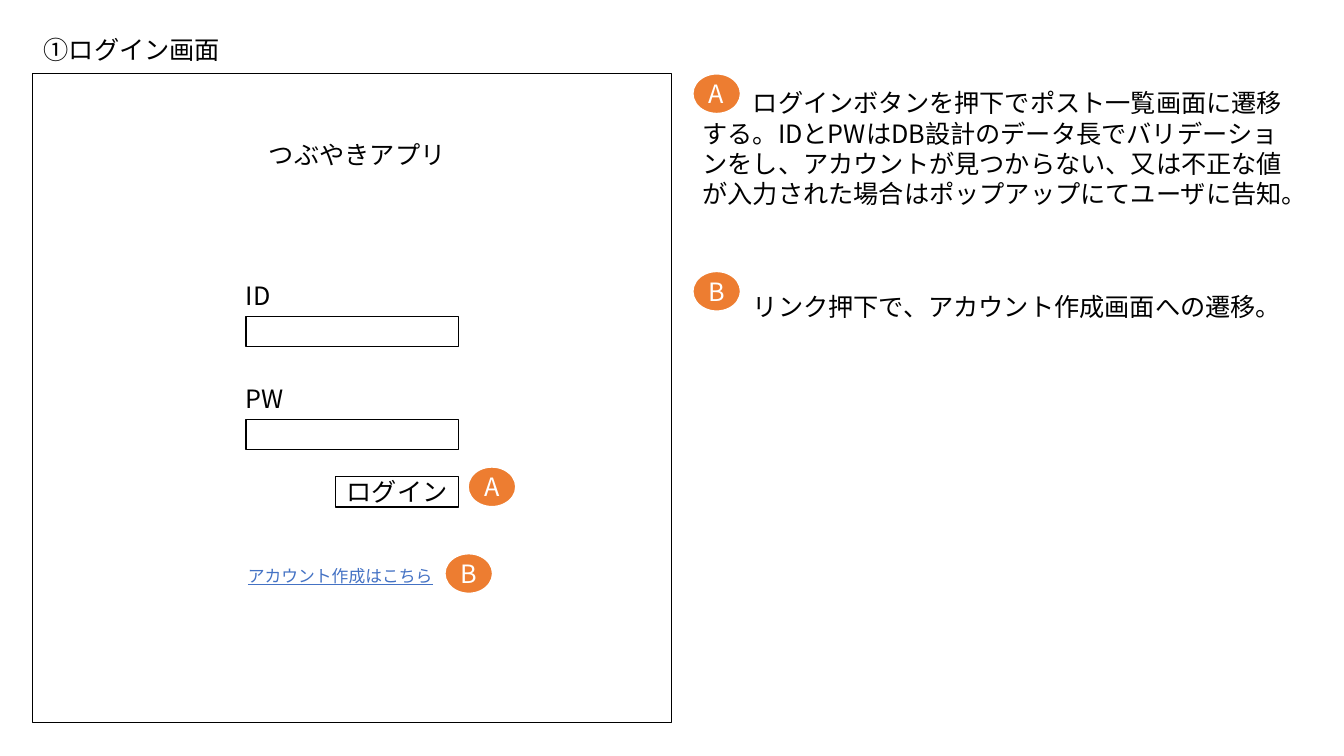
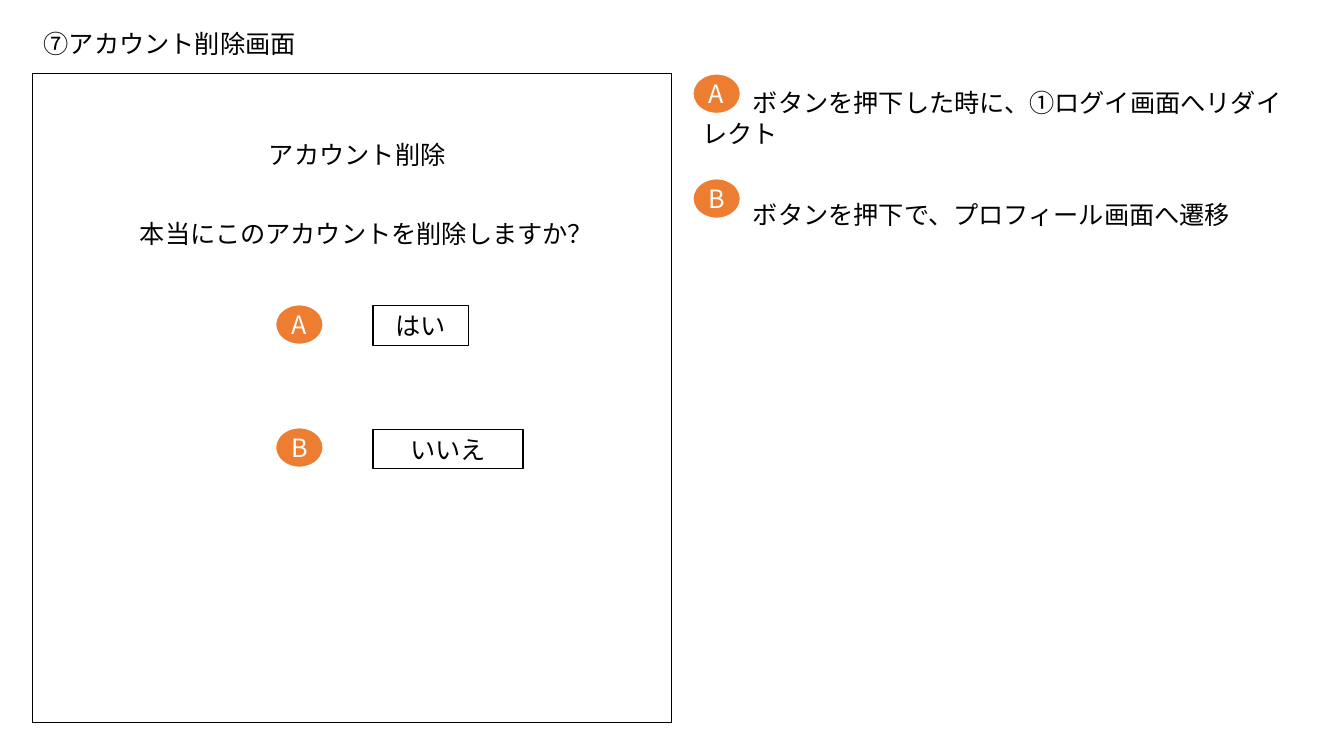
from lxml import etree
from pptx import Presentation
from pptx.dml.color import RGBColor
from pptx.enum.shapes import MSO_SHAPE
from pptx.enum.text import MSO_ANCHOR, MSO_AUTO_SIZE, PP_ALIGN
from pptx.oxml.ns import qn
from pptx.util import Inches, Pt

RECTANGLE, OVAL = MSO_SHAPE.RECTANGLE, MSO_SHAPE.OVAL
TOP, MIDDLE = MSO_ANCHOR.TOP, MSO_ANCHOR.MIDDLE
LEFT, CENTER = PP_ALIGN.LEFT, PP_ALIGN.CENTER
NO_AUTOFIT = MSO_AUTO_SIZE.NONE

BLACK = RGBColor(0x00, 0x00, 0x00)
WHITE = RGBColor(0xFF, 0xFF, 0xFF)
ORANGE = RGBColor(0xED, 0x7D, 0x31)
LINK_BLUE = RGBColor(0x44, 0x72, 0xC4)
FONT = "Noto Sans CJK JP"

deck = Presentation()
deck.slide_width = Inches(13.33)
deck.slide_height = Inches(7.5)
COLUMN = deck.slide_width / 40
ROW = deck.slide_height / 30
TITLE_ONLY = deck.slide_layouts[5]

TEXT_ROWS = 1.6
FRAME_TOP = 2.92
NOTE_LEFT = 20.61
NOTE_INDENT = 1.5
FIELD_LEFT = 7.32
BADGE_COLUMNS, BADGE_ROWS = 1.44, 1.6


def place(box, left, top, width, height):
    box.left, box.width = round(left * COLUMN), round(width * COLUMN)
    box.top, box.height = round(top * ROW), round(height * ROW)


def write(box, text, color=BLACK, size=18, align=LEFT, anchor=TOP):
    frame = box.text_frame
    frame.word_wrap = True
    frame.auto_size = NO_AUTOFIT
    frame.vertical_anchor = anchor
    if align == CENTER:
        frame.margin_left = frame.margin_right = 0
        frame.margin_top = frame.margin_bottom = 0
    para = frame.paragraphs[0]
    para.alignment = align
    span = para.add_run()
    span.text = text
    span.font.size = Pt(size)
    span.font.name = FONT
    span.font.color.rgb = color
    east_asian = etree.SubElement(span.font._element, qn("a:ea"))
    east_asian.set("typeface", FONT)
    return para


screens = [
    {
        "title": ("①ログイン画面", 1.16),
        "labels": [
            ("つぶやきアプリ", 7.71, 5.32, 6.3),
            ("ID", 7.02, 10.92, 3),
            ("PW", 7.02, 15, 3),
        ],
        "boxes": [
            ("", FIELD_LEFT, 12.56, 6.33, 1.2),
            ("", FIELD_LEFT, 16.64, 6.33, 1.2),
            ("ログイン", 9.99, 18.92, 3.66, 1.2),
        ],
        "links": [("アカウント作成はこちら", 7.08, 22.24, 6.6)],
        "badges": [("A", 13.92, 18.52), ("B", 13.23, 21.96)],
        "notes": [
            ("A", FRAME_TOP, 3.28, 5.24,
             "ログインボタンを押下でポスト一覧画面に遷移する。"
             "IDとPWはDB設計のデータ長でバリデーションをし、"
             "アカウントが見つからない、又は不正な値が入力された場合は"
             "ポップアップにてユーザに告知。"),
            ("B", 10.76, 11.36, TEXT_ROWS,
             "リンク押下で、アカウント作成画面への遷移。"),
        ],
    },
    {
        "title": ("⑦アカウント削除画面", 0.92),
        "labels": [
            ("アカウント削除", 7.71, 5.32, 6.3),
            ("本当にこのアカウントを削除しますか？", 3.87, 8.48, 14.49),
        ],
        "boxes": [
            ("はい", 11.1, 12.12, 2.85, 1.6),
            ("いいえ", 11.1, 17.04, 4.47, 1.56),
        ],
        "links": [],
        "badges": [("A", 8.19, 12.08), ("B", 8.19, 16.96)],
        "notes": [
            ("A", FRAME_TOP, 3.28, 4.04,
             "ボタンを押下した時に、①ログイ画面へリダイレクト"),
            ("B", 7.08, 7.72, TEXT_ROWS,
             "ボタンを押下で、プロフィール画面へ遷移"),
        ],
    },
]

for screen in screens:
    page = deck.slides.add_slide(TITLE_ONLY)
    title, title_top = screen["title"]
    place(page.shapes.title, 1, title_top, 13.83, TEXT_ROWS)
    write(page.shapes.title, title)

    window = ("", 0.96, FRAME_TOP, 19.02, 25.76)
    for text, *area in [window] + screen["boxes"]:
        box = page.shapes.add_shape(RECTANGLE, 0, 0, 0, 0)
        place(box, *area)
        box.shadow.inherit = False
        box.fill.solid()
        box.fill.fore_color.rgb = WHITE
        box.line.color.rgb = BLACK
        box.line.width = Pt(1)
        if text:
            write(box, text, align=CENTER, anchor=MIDDLE)

    for text, left, top, width in screen["labels"]:
        label = page.shapes.add_textbox(0, 0, 0, 0)
        place(label, left, top, width, TEXT_ROWS)
        write(label, text)

    for text, left, top, width in screen["links"]:
        link = page.shapes.add_textbox(0, 0, 0, 0)
        place(link, left, top, width, 1.2)
        write(link, text, LINK_BLUE, 12).runs[0].font.underline = True

    for letter, badge_top, top, height, text in screen["notes"]:
        note = page.shapes.add_textbox(0, 0, 0, 0)
        place(note, NOTE_LEFT, top, 18.45, height)
        properties = write(note, text)._p.get_or_add_pPr()
        properties.set("marL", "0")
        properties.set("indent", str(round(NOTE_INDENT * COLUMN)))

    note_badges = [(note[0], NOTE_LEFT, note[1]) for note in screen["notes"]]
    for letter, left, top in screen["badges"] + note_badges:
        badge = page.shapes.add_shape(OVAL, 0, 0, 0, 0)
        place(badge, left, top, BADGE_COLUMNS, BADGE_ROWS)
        badge.shadow.inherit = False
        badge.fill.solid()
        badge.fill.fore_color.rgb = ORANGE
        badge.line.color.rgb = WHITE
        badge.line.width = Pt(1.5)
        write(badge, letter, WHITE, align=CENTER, anchor=MIDDLE)

deck.save("out.pptx")
